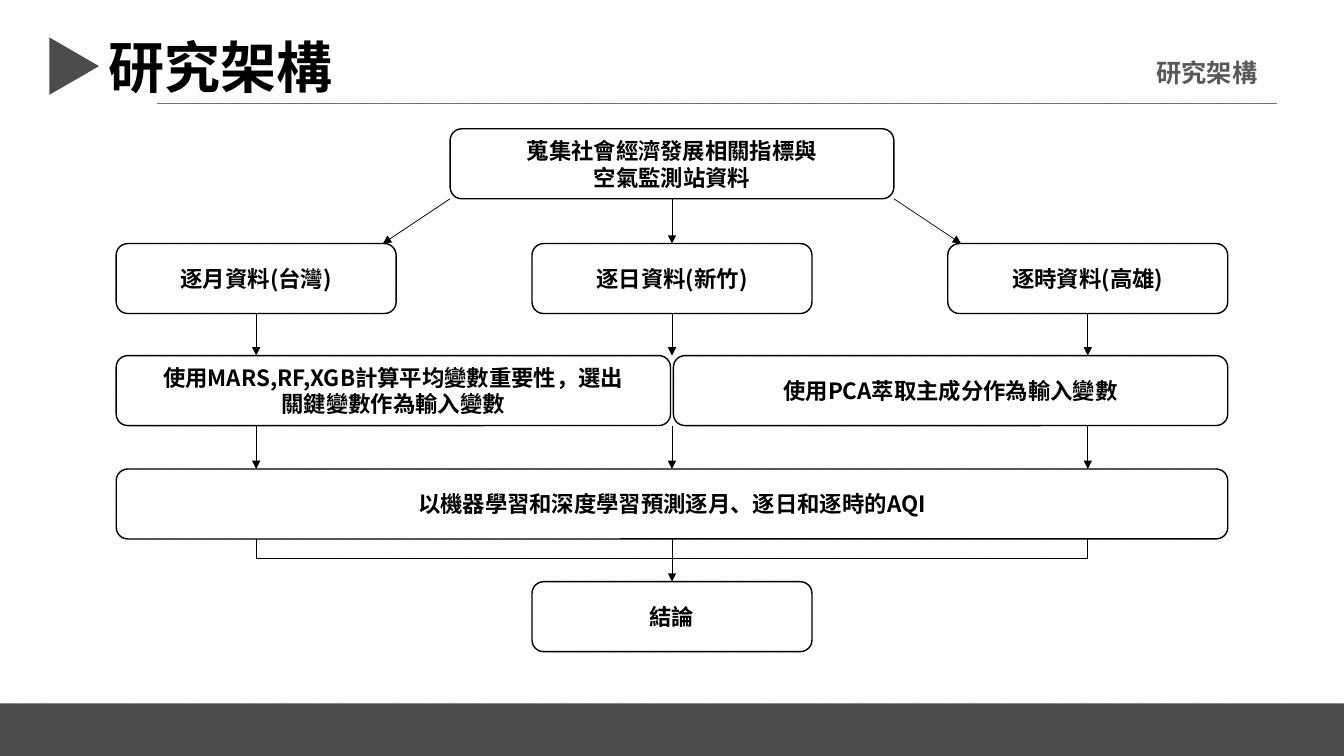
from lxml.etree import SubElement
from pptx import Presentation
from pptx.dml.color import RGBColor
from pptx.enum.dml import MSO_PATTERN
from pptx.enum.shapes import MSO_CONNECTOR, MSO_SHAPE
from pptx.enum.text import MSO_ANCHOR, PP_ALIGN
from pptx.oxml.ns import qn
from pptx.util import Pt

FONT = "Noto Sans CJK SC"
BLACK = RGBColor(0x00, 0x00, 0x00)
WHITE = RGBColor(0xFF, 0xFF, 0xFF)
STRIPE = RGBColor(0xF2, 0xF2, 0xF2)
DARK = RGBColor(0x4C, 0x4C, 0x4C)
GREY = RGBColor(0x59, 0x59, 0x59)
TEAL = RGBColor(0x45, 0x84, 0x82)

SLIDE_WIDTH, SLIDE_HEIGHT = 960, 540

# Flow chart grid, in points
CENTERS = LEFT_X, MIDDLE_X, RIGHT_X = 183, 480, 777
COLLECT_Y, PERIOD_Y, SELECT_Y, PREDICT_Y, RESULT_Y = 92, 174, 254, 335, 415.5
BOX_HEIGHT = 50
SMALL, HALF, FULL, TOP = 200, 396, 794, 317
PERIODS = ["逐月資料(台灣)", "逐日資料(新竹)", "逐時資料(高雄)"]
BOTTOM_SITE, TOP_SITE = 2, 0


def write(text_frame, text, size, color):
    text_frame.word_wrap = True
    text_frame.text = text
    for paragraph in text_frame.paragraphs:
        for run in paragraph.runs:
            font = run.font
            font.name, font.size, font.bold = FONT, Pt(size), True
            font.color.rgb = color
            SubElement(run._r.get_or_add_rPr(), qn("a:ea"), typeface=FONT)


def add_label(slide, text, left, top, width, height, size, color):
    label = slide.shapes.add_textbox(Pt(left), Pt(top), Pt(width), Pt(height))
    write(label.text_frame, text, size, color)
    return label


def add_solid(slide, kind, left, top, width, height):
    shape = slide.shapes.add_shape(kind, Pt(left), Pt(top), Pt(width), Pt(height))
    shape.shadow.inherit = False
    shape.fill.solid()
    shape.fill.fore_color.rgb = DARK
    shape.line.fill.background()
    return shape


def add_box(slide, text, center, top, width, filled=False):
    box = slide.shapes.add_shape(
        MSO_SHAPE.ROUNDED_RECTANGLE,
        Pt(center - width / 2), Pt(top), Pt(width), Pt(BOX_HEIGHT))
    box.shadow.inherit = False
    if filled:
        box.fill.solid()
        box.fill.fore_color.rgb = WHITE
    else:
        box.fill.background()
    box.line.color.rgb = BLACK
    box.line.width = Pt(1)
    write(box.text_frame, text, 16, BLACK)
    box.text_frame.vertical_anchor = MSO_ANCHOR.MIDDLE
    for paragraph in box.text_frame.paragraphs:
        paragraph.alignment = PP_ALIGN.CENTER
    return box


def add_line(slide, x1, y1, x2, y2, color=BLACK, weight=0.5, arrow=False):
    line = slide.shapes.add_connector(
        MSO_CONNECTOR.STRAIGHT, Pt(x1), Pt(y1), Pt(x2), Pt(y2))
    line.line.color.rgb = color
    line.line.width = Pt(weight)
    if arrow:
        SubElement(line.line._get_or_add_ln(), qn("a:tailEnd"), type="triangle")
    SubElement(line._element.spPr, qn("a:effectLst"))
    return line


def add_down_arrow(slide, x, top, bottom, source=None, target=None):
    arrow = add_line(slide, x, top, x, bottom, arrow=True)
    if source is not None:
        arrow.begin_connect(source, BOTTOM_SITE)
    if target is not None:
        arrow.end_connect(target, TOP_SITE)


def add_frame(slide):
    # Background, heading and footer
    fill = slide.background.fill
    fill.patterned()
    fill.pattern = MSO_PATTERN.PERCENT_5
    fill.fore_color.rgb = STRIPE
    fill.back_color.rgb = WHITE
    add_line(slide, 112, 74, 912, 74, TEAL, 1)
    add_label(slide, "研究架構", 70.5, 19.5, 184, 55.5, 40, BLACK)
    section = add_label(slide, "研究架構", 819, 34.5, 106, 30, 18, GREY)
    section.text_frame.paragraphs[0].line_spacing = 1.14
    add_solid(slide, MSO_SHAPE.RECTANGLE, 0, 502.5, SLIDE_WIDTH, 37.5)
    marker = add_solid(slide, MSO_SHAPE.ISOSCELES_TRIANGLE, 32.5, 29.5, 41, 35.5)
    marker.rotation = 90


def add_flow_chart(slide):
    # Boxes
    collect = add_box(slide, "蒐集社會經濟發展相關指標與\n空氣監測站資料",
                      MIDDLE_X, COLLECT_Y, TOP, filled=True)
    periods = [add_box(slide, text, center, PERIOD_Y, SMALL)
               for text, center in zip(PERIODS, CENTERS)]
    half_offset = (FULL - HALF) / 2
    add_box(slide, "使用MARS,RF,XGB計算平均變數重要性，選出\n關鍵變數作為輸入變數",
            MIDDLE_X - half_offset, SELECT_Y, HALF)
    add_box(slide, "使用PCA萃取主成分作為輸入變數",
            MIDDLE_X + half_offset, SELECT_Y, HALF)
    predict = add_box(slide, "以機器學習和深度學習預測逐月、逐日和逐時的AQI",
                      MIDDLE_X, PREDICT_Y, FULL)
    result = add_box(slide, "結論", MIDDLE_X, RESULT_Y, SMALL)

    # Arrows from the collected data to the three periods
    collect_bottom = COLLECT_Y + BOX_HEIGHT
    for side in (-1, 1):
        add_line(slide, MIDDLE_X + side * TOP / 2, collect_bottom,
                 MIDDLE_X + side * 206.5, PERIOD_Y, arrow=True)
    add_down_arrow(slide, MIDDLE_X, collect_bottom, PERIOD_Y, collect, periods[1])

    # Arrows through variable selection to prediction
    for center, period in zip(CENTERS, periods):
        add_down_arrow(slide, center, PERIOD_Y + BOX_HEIGHT, SELECT_Y, period)
        add_down_arrow(slide, center, SELECT_Y + BOX_HEIGHT, PREDICT_Y,
                       target=predict if center == MIDDLE_X else None)

    # Bracket and arrow to the conclusion
    predict_bottom, bracket_y = PREDICT_Y + BOX_HEIGHT, 399
    for x in (LEFT_X, RIGHT_X):
        add_line(slide, x, predict_bottom, x, bracket_y)
    add_line(slide, LEFT_X, bracket_y, RIGHT_X, bracket_y)
    add_down_arrow(slide, MIDDLE_X, predict_bottom, RESULT_Y, predict, result)


def main():
    presentation = Presentation()
    presentation.slide_width = Pt(SLIDE_WIDTH)
    presentation.slide_height = Pt(SLIDE_HEIGHT)
    slide = presentation.slides.add_slide(presentation.slide_layouts[6])
    add_frame(slide)
    add_flow_chart(slide)
    presentation.save("out.pptx")


if __name__ == "__main__":
    main()
